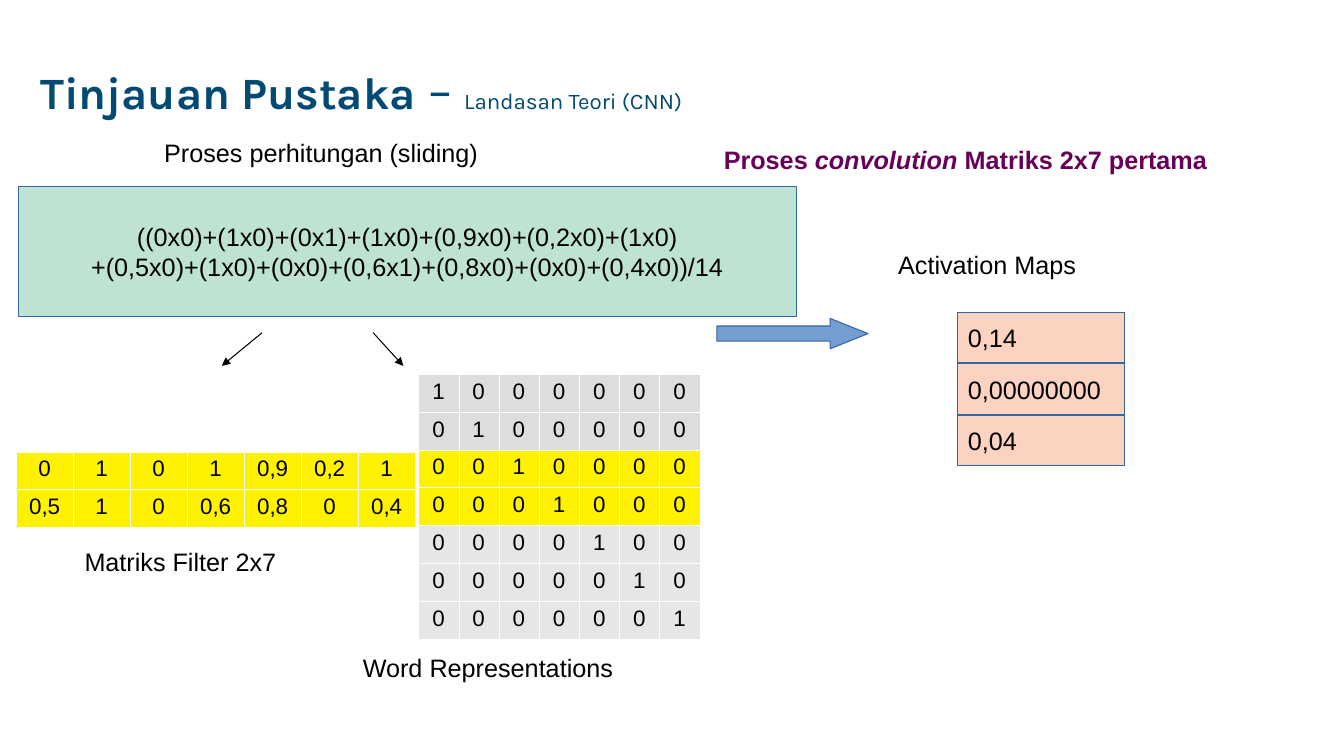
from lxml.etree import SubElement
from pptx import Presentation
from pptx.dml.color import RGBColor
from pptx.enum.shapes import MSO_CONNECTOR, MSO_SHAPE
from pptx.enum.text import MSO_ANCHOR, PP_ALIGN
from pptx.oxml.ns import qn
from pptx.util import Inches, Pt

COLORS = {
    "title": "014A73", "heading": "680059", "text": "000000", "border": "FFFFFF",
    "outline": "3465A4", "formula": "BEE3D3", "arrow": "729FCF", "result": "FCD3C1",
    "active": "FFF200", "upper": "DDDDDD", "lower": "E6E6E6",
}
FILTER = [["0", "1", "0", "1", "0,9", "0,2", "1"],
          ["0,5", "1", "0", "0,6", "0,8", "0", "0,4"]]
WORDS = [["1" if col == row else "0" for col in range(7)] for row in range(7)]
WORD_FILLS = ["upper"] * 2 + ["active"] * 2 + ["lower"] * 3


def rgb(name):
    return RGBColor.from_string(COLORS[name])


def set_font(font, size, color="text", name="Arial", bold=False):
    font.name = name
    font.size = Pt(size)
    font.bold = bold
    font.color.rgb = rgb(color)


def add_title(slide, left, top, width, height):
    sp = slide.shapes.title
    sp.left, sp.top, sp.width, sp.height = map(Inches, (left, top, width, height))
    tf = sp.text_frame
    tf.word_wrap = True
    tf.vertical_anchor = MSO_ANCHOR.MIDDLE
    p = tf.paragraphs[0]
    p.alignment = PP_ALIGN.LEFT
    p.line_spacing = 0.9
    for text, size, bold in [("Tinjauan Pustaka", 32, True), (" – ", 36, False),
                             ("Landasan Teori (CNN)", 16, False)]:
        r = p.add_run()
        r.text = text
        set_font(r.font, size, "title", "Karla", bold)


def add_label(slide, left, top, width, height, text):
    sp = slide.shapes.add_textbox(*map(Inches, (left, top, width, height)))
    sp.text_frame.word_wrap = True
    p = sp.text_frame.paragraphs[0]
    p.text = text
    set_font(p.font, 18)


def add_heading(slide, left, top, width, height):
    sp = slide.shapes.add_textbox(*map(Inches, (left, top, width, height)))
    sp.text_frame.word_wrap = True
    p = sp.text_frame.paragraphs[0]
    set_font(p.font, 18, "heading", bold=True)
    for text, italic in [("Proses ", False), ("convolution", True),
                         (" Matriks 2x7 pertama", False)]:
        r = p.add_run()
        r.text = text
        r.font.italic = italic


def add_block(slide, left, top, width, height, fill, lines=(),
              align=PP_ALIGN.LEFT, kind=MSO_SHAPE.RECTANGLE):
    sp = slide.shapes.add_shape(kind, *map(Inches, (left, top, width, height)))
    sp.shadow.inherit = False
    sp.fill.solid()
    sp.fill.fore_color.rgb = rgb(fill)
    sp.line.color.rgb = rgb("outline")
    sp.line.width = Pt(0.75)
    tf = sp.text_frame
    tf.word_wrap = False
    tf.vertical_anchor = MSO_ANCHOR.MIDDLE
    for i, text in enumerate(lines):
        p = tf.add_paragraph() if i else tf.paragraphs[0]
        p.text = text
        p.alignment = align
        set_font(p.font, 18)
    return sp


def add_borders(cell):
    tcPr = cell._tc.get_or_add_tcPr()
    for side in ("a:lnL", "a:lnR", "a:lnT", "a:lnB"):
        ln = SubElement(tcPr, qn(side), w=str(Pt(0.06)))
        fill = SubElement(ln, qn("a:solidFill"))
        SubElement(fill, qn("a:srgbClr"), val=COLORS["border"])


def add_matrix(slide, left, top, width, height, values, fills):
    rows, cols = len(values), len(values[0])
    table = slide.shapes.add_table(
        rows, cols, *map(Inches, (left, top, width, height))).table
    table.first_row = table.horz_banding = False
    for row, (texts, fill) in enumerate(zip(values, fills)):
        for col, text in enumerate(texts):
            cell = table.cell(row, col)
            add_borders(cell)
            cell.fill.solid()
            cell.fill.fore_color.rgb = rgb(fill)
            p = cell.text_frame.paragraphs[0]
            p.text = text
            p.alignment = PP_ALIGN.CENTER
            set_font(p.font, 16)


def add_pointer(slide, x1, y1, x2, y2):
    line = slide.shapes.add_connector(
        MSO_CONNECTOR.STRAIGHT, *map(Inches, (x1, y1, x2, y2)))
    line.line.color.rgb = rgb("text")
    line.line.width = Pt(0.75)
    SubElement(line.line._get_or_add_ln(), qn("a:tailEnd"), type="triangle")
    SubElement(line._element.spPr, qn("a:effectLst"))


def add_calculation(slide, left, top):
    add_label(slide, left + 1.35, top, 3.74, 0.38, "Proses perhitungan (sliding)")
    add_block(slide, left, top + 0.54, 7.72, 1.29, "formula",
              ["((0x0)+(1x0)+(0x1)+(1x0)+(0,9x0)+(0,2x0)+(1x0)",
               "+(0,5x0)+(1x0)+(0x0)+(0,6x1)+(0,8x0)+(0x0)+(0,4x0))/14"],
              PP_ALIGN.CENTER)
    for start, end in [(2.42, 2.02), (3.52, 3.82)]:
        add_pointer(slide, left + start, top + 1.99, left + end, top + 2.32)
    arrow = add_block(slide, left + 6.93, top + 1.85, 1.5, 0.3, "arrow",
                      kind=MSO_SHAPE.RIGHT_ARROW)
    arrow.adjustments[0] = 0.5
    arrow.adjustments[1] = 1.25


def add_filter(slide, left, top):
    add_matrix(slide, left, top, 3.96, 0.75, FILTER, ["active"] * 2)
    add_label(slide, left + 0.58, top + 0.89, 2.36, 0.38, "Matriks Filter 2x7")


def add_words(slide, left, top):
    add_matrix(slide, left, top, 2.79, 2.63, WORDS, WORD_FILLS)
    add_label(slide, left - 0.65, top + 2.71, 3.12, 0.38, "Word Representations")


def add_activation(slide, left, top):
    add_label(slide, left, top, 2.43, 0.38, "Activation Maps")
    for i, value in enumerate(["0,14", "0,00000000", "0,04"]):
        add_block(slide, left + 0.69, top + 0.68 + i * 0.51, 1.65, 0.5,
                  "result", [value])


def main():
    prs = Presentation()
    prs.slide_width, prs.slide_height = Inches(13.33), Inches(7.5)
    s = prs.slides.add_slide(prs.slide_layouts[5])
    add_title(s, 0.3, 0.2, 7.5, 1.45)
    add_words(s, 4.15, 3.71)
    add_filter(s, 0.16, 4.48)
    add_calculation(s, 0.18, 1.31)
    add_heading(s, 7.08, 1.38, 6.22, 0.66)
    add_activation(s, 8.81, 2.42)
    prs.save("out.pptx")


if __name__ == "__main__":
    main()
